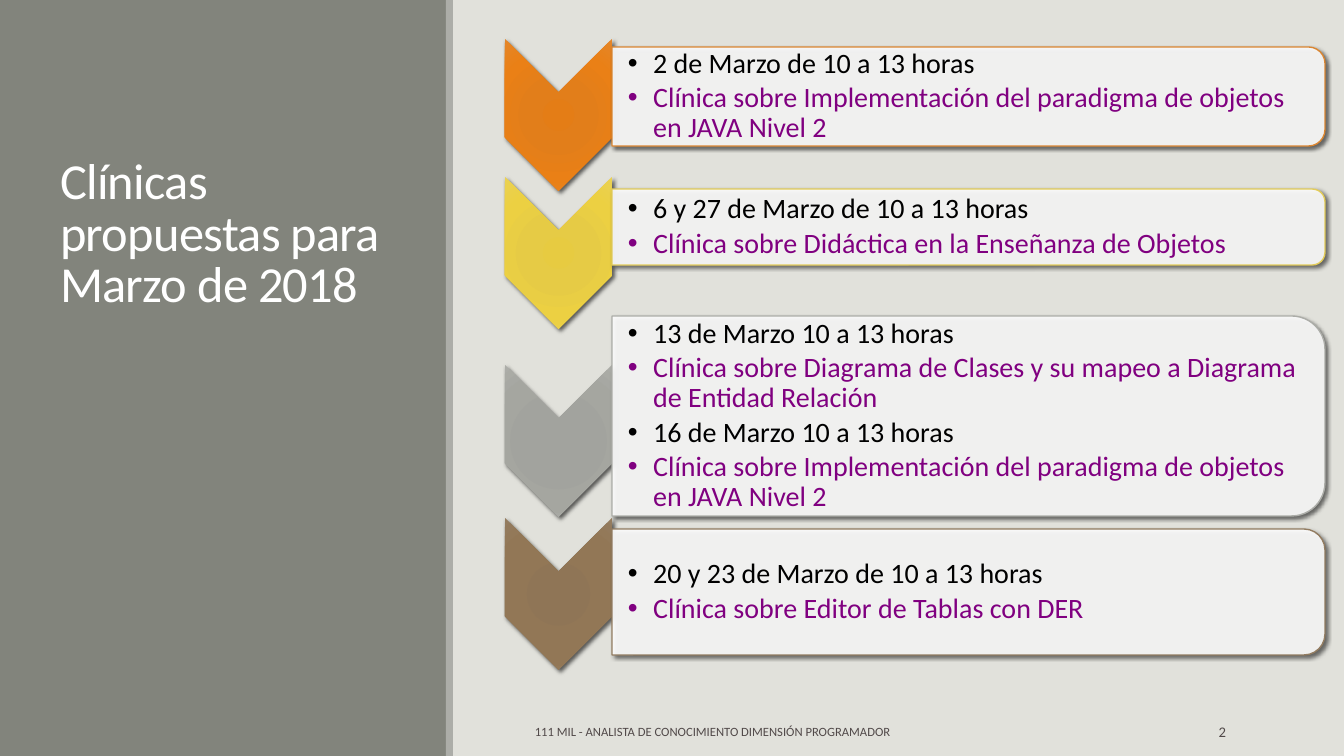
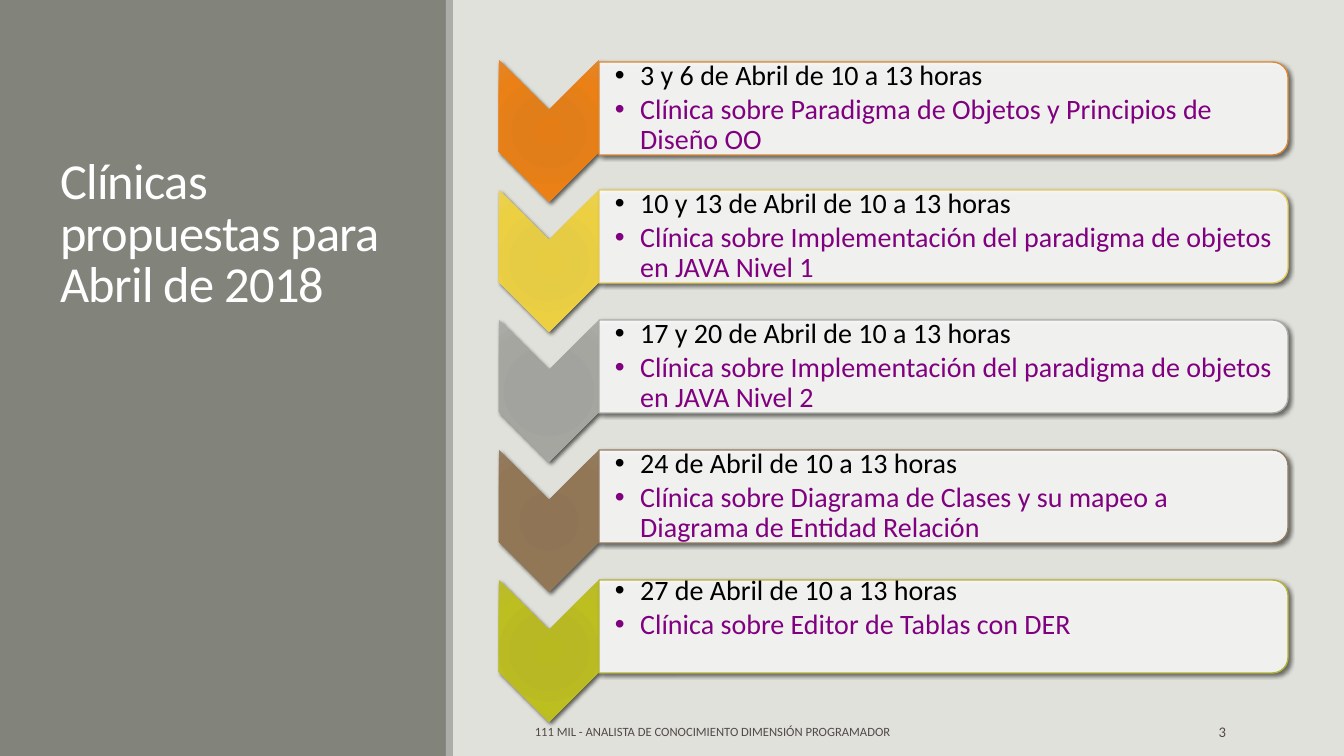
import dataclasses

import lxml.etree
import pptx
import pptx.dml.color
import pptx.enum.shapes
import pptx.enum.text
import pptx.oxml
import pptx.oxml.ns
import pptx.util

SCALE = 914400 / 100.8  # EMU in one pixel
SHAPE = pptx.enum.shapes.MSO_SHAPE
ALIGN = pptx.enum.text.PP_ALIGN
ANCHOR = pptx.enum.text.MSO_ANCHOR
NAMESPACE = 'xmlns:a="http://schemas.openxmlformats.org/drawingml/2006/main"'


@dataclasses.dataclass(frozen=True)
class Theme:
    font: str = "Calibri"
    background: str = "E1E1DB"
    band: str = "82847C"
    stripe: str = "ACADA8"
    panel: str = "FFFFFF"
    title: str = "FFFFFF"
    date: str = "000000"
    topic: str = "800080"
    footer: str = "514949"
    title_size: float = 36
    list_size: float = 20
    footer_size: float = 9
    number_size: float = 10.5
    # Each accent: panel outline, then the four gradient colours of the chevron
    accents: tuple = (
        ("DB8631", ("E47D16", "E27E1A", "EA8016", "E48629")),
        ("E3CC5A", ("E7CB41", "E6CB45", "ECD042", "EAD153")),
        ("ACADA8", ("A1A29C", "A2A39E", "A5A6A0", "ACADA8")),
        ("927C61", ("8F7454", "8F7556", "927756", "947C5F")),
        ("B3B435", ("B8B920", "B7B823", "BDBE20", "B9BA2F")),
    )


THEME = Theme()


def px(length):
    return pptx.util.Emu(round(length * SCALE))


def rgb(value):
    return pptx.dml.color.RGBColor.from_string(value)


def add_text(frame, text, size, color, align=ALIGN.LEFT, line=1.0, after=0,
             bullet=False, tracking=None):
    """Write one paragraph, using the first one while it is still empty."""
    para = frame.paragraphs[-1]
    if para.runs:
        para = frame.add_paragraph()
    para.alignment = align
    para.line_spacing = line
    para.space_before = pptx.util.Pt(0)
    para.space_after = pptx.util.Pt(after)
    span = para.add_run()
    span.text = text
    span.font.name = THEME.font
    span.font.size = pptx.util.Pt(size)
    span.font.color.rgb = rgb(color)
    if tracking is not None:
        span.font._element.set("spc", str(round(tracking * 100)))
    if bullet:
        settings = para._p.get_or_add_pPr()
        settings.set("marL", "228600")
        settings.set("indent", "-228600")
        for tag, key, value in (("a:buFont", "typeface", "Arial"), ("a:buChar", "char", "•")):
            mark = lxml.etree.SubElement(settings, pptx.oxml.ns.qn(tag))
            mark.set(key, value)


class Builder:
    def __init__(self, deck):
        self.deck = deck
        self.page = None
        self.layout = deck.slide_layouts[5]
        background = deck.slide_master.background.fill
        background.solid()
        background.fore_color.rgb = rgb(THEME.background)
        for holder in list(self.layout.placeholders)[1:]:
            holder.element.getparent().remove(holder.element)

    def new_page(self, title, number):
        first = self.page is None
        self.page = self.deck.slides.add_slide(self.layout)
        if first:
            self.layout_bands()
        self.title(title)
        self.text_box(525, 712, 512, 40, "111 MIL - ANALISTA DE CONOCIMIENTO DIMENSIÓN PROGRAMADOR",
                      size=THEME.footer_size, color=THEME.footer)
        self.text_box(1092, 712, 144, 40, str(number), size=THEME.number_size,
                      color=THEME.footer, align=ALIGN.RIGHT)

    def layout_bands(self):
        """Draw the side bands once and keep them on the shared layout."""
        for left, width, color in ((0, 446, THEME.band), (446, 7, THEME.stripe)):
            band = self.shape(SHAPE.RECTANGLE, left, 0, width, 756, color)
            self.layout.shapes.element.append(band.element)

    def title(self, text):
        holder = self.page.shapes.title
        holder.left, holder.top, holder.width, holder.height = map(px, (50, 66, 353, 252))
        frame = holder.text_frame
        frame.word_wrap = True
        frame.auto_size = pptx.enum.text.MSO_AUTO_SIZE.NONE
        frame.vertical_anchor = ANCHOR.BOTTOM
        add_text(frame, text, THEME.title_size, THEME.title, line=0.85, tracking=-0.5)

    def frame(self, left, top, width, height):
        box = self.page.shapes.add_textbox(px(left), px(top), px(width), px(height))
        box.text_frame.word_wrap = True
        box.text_frame.vertical_anchor = ANCHOR.MIDDLE
        return box.text_frame

    def text_box(self, left, top, width, height, text, **style):
        add_text(self.frame(left, top, width, height), text, **style)

    def shape(self, kind, left, top, width, height, color):
        shape = self.page.shapes.add_shape(kind, px(left), px(top), px(width), px(height))
        shape.shadow.inherit = False
        shape.fill.solid()
        shape.fill.fore_color.rgb = rgb(color)
        shape.line.fill.background()
        return shape

    def turned_shape(self, kind, left, top, width, height, color):
        """Fill the given upright area with a shape turned a quarter clockwise."""
        shift = (width - height) / 2
        shape = self.shape(kind, left + shift, top - shift, height, width, color)
        shape.rotation = 90
        effects = shape.element.spPr.find(pptx.oxml.ns.qn("a:effectLst"))
        effects.append(pptx.oxml.parse_xml(
            f'<a:outerShdw {NAMESPACE} blurRad="38100" dist="25400" dir="2700000" '
            'rotWithShape="0"><a:srgbClr val="000000"><a:alpha val="60000"/>'
            '</a:srgbClr></a:outerShdw>'))
        return shape

    def chevron(self, left, top, width, height, colors):
        chevron = self.turned_shape(SHAPE.CHEVRON, left, top, width, height, colors[0])
        stops = "".join(f'<a:gs pos="{place}000"><a:srgbClr val="{color}"/></a:gs>'
                        for place, color in zip((0, 34, 70, 100), colors))
        gradient = pptx.oxml.parse_xml(
            f'<a:gradFill {NAMESPACE} rotWithShape="1"><a:gsLst>{stops}</a:gsLst>'
            '<a:path path="circle"><a:fillToRect l="100000" t="100000" r="100000" '
            'b="100000"/></a:path></a:gradFill>')
        properties = chevron.element.spPr
        properties.replace(properties.find(pptx.oxml.ns.qn("a:solidFill")), gradient)

    def panel(self, left, top, width, height, outline, lines, lift=0):
        panel = self.turned_shape(SHAPE.ROUND_2_SAME_RECTANGLE, left, top, width, height,
                                  THEME.panel)
        panel.line.color.rgb = rgb(outline)
        panel.line.width = pptx.util.Pt(1)
        color = panel.element.spPr.find(".//" + pptx.oxml.ns.qn("a:srgbClr"))
        lxml.etree.SubElement(color, pptx.oxml.ns.qn("a:alpha")).set("val", "90000")

        # Text stays clear of the rounded corners
        inset = height * 0.05
        frame = self.frame(left, top + inset - lift, width - inset, height - 2 * inset)
        frame.margin_left = px(16)
        frame.margin_top = frame.margin_right = frame.margin_bottom = px(1)
        for index, line in enumerate(lines):
            add_text(frame, line, THEME.list_size, THEME.topic if index % 2 else THEME.date,
                     line=0.9, after=3, bullet=True)

    def schedule(self, left, chevron_size, panel_width, rows):
        """Stack rows of chevron top, panel top, panel height, lift and text lines."""
        width, height = chevron_size
        for (outline, colors), row in zip(THEME.accents, rows):
            chevron_top, panel_top, panel_height, lift, lines = row
            self.chevron(left, chevron_top, width, height, colors)
            self.panel(left + width, panel_top, panel_width, panel_height, outline, lines, lift)


deck = pptx.Presentation()
deck.slide_width, deck.slide_height = px(1344), px(756)
builder = Builder(deck)

# Topics taught in both months
OBJECTS = "Clínica sobre Implementación del paradigma de objetos en JAVA Nivel "
DIAGRAMS = "Clínica sobre Diagrama de Clases y su mapeo a Diagrama de Entidad Relación"
DATABASE = "Clínica sobre Editor de Tablas con DER"

# March
builder.new_page("Clínicas propuestas para Marzo de 2018", 2)
builder.schedule(505, (107, 152), 713, (
    (39, 47, 99, 0, ("2 de Marzo de 10 a 13 horas", OBJECTS + "2")),
    (177, 189, 76, 0, ("6 y 27 de Marzo de 10 a 13 horas",
                       "Clínica sobre Didáctica en la Enseñanza de Objetos")),
    (365, 316, 200, 0, ("13 de Marzo 10 a 13 horas", DIAGRAMS,
                        "16 de Marzo 10 a 13 horas", OBJECTS + "2")),
    (518, 529, 126, 0, ("20 y 23 de Marzo de 10 a 13 horas", DATABASE)),
))

# April
APRIL = (
    ("3 y 6", "Clínica sobre Paradigma de Objetos y Principios de Diseño OO"),
    ("10 y 13", OBJECTS + "1"),
    ("17 y 20", OBJECTS + "2"),
    ("24", DIAGRAMS),
    ("27", DATABASE),
)
builder.new_page("Clínicas propuestas para Abril de 2018", 3)
builder.schedule(499, (100, 142), 689, [
    (60 + 130 * index, max(62, 60 + 130 * index), 93, 18 if topic == DATABASE else 0,
     (f"{days} de Abril de 10 a 13 horas", topic))
    for index, (days, topic) in enumerate(APRIL)
])

deck.save("out.pptx")
